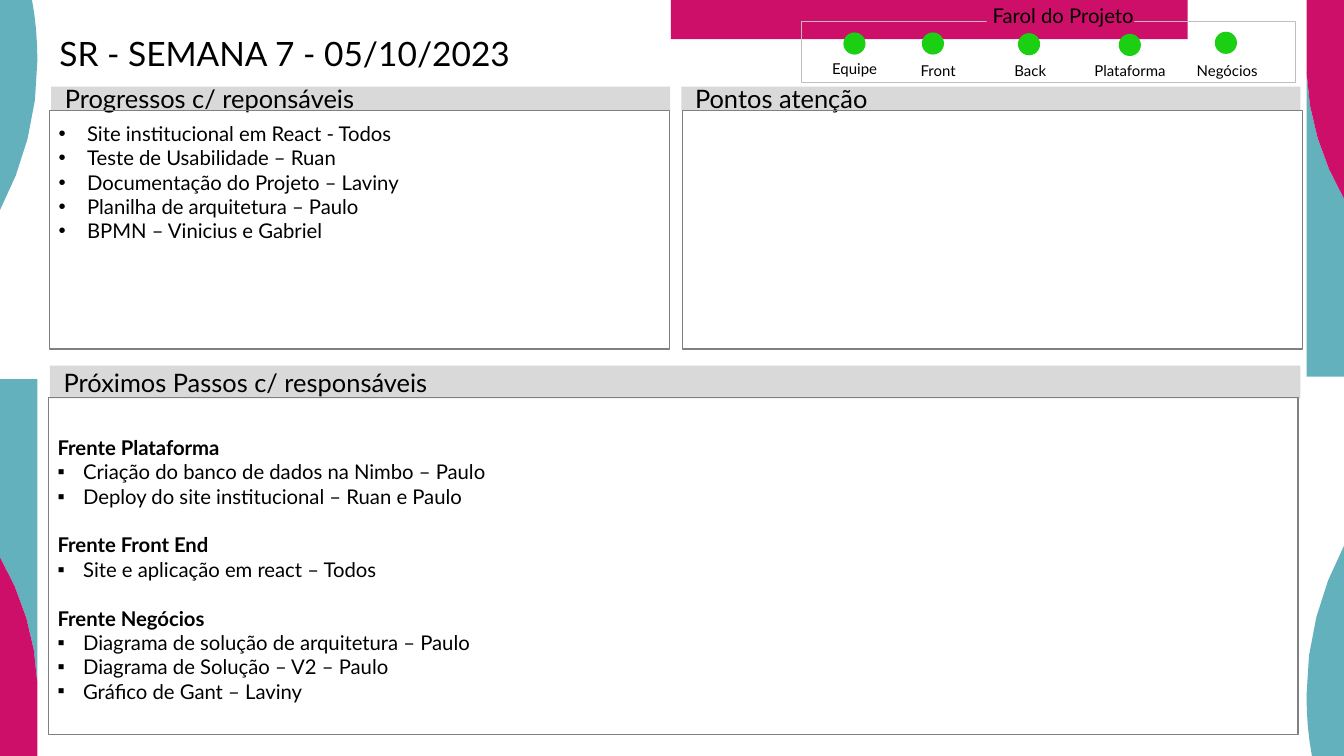
from dataclasses import dataclass

import pptx
import pptx.dml.color
import pptx.enum.shapes
import pptx.enum.text
import pptx.oxml.ns
import pptx.util
from lxml import etree

Cm = pptx.util.Cm
Pt = pptx.util.Pt
Anchor = pptx.enum.text.MSO_ANCHOR
Align = pptx.enum.text.PP_ALIGN
Preset = pptx.enum.shapes.MSO_SHAPE

FONT = "Lato"
COLOURS = {
    "teal": "63B1BC",
    "magenta": "CE0F69",
    "green": "1BCF13",
    "band": "D9D9D9",
    "border": "808080",
    "frame": "BFBFBF",
    "text": "000000",
}
WIDTH, HEIGHT = 37.34, 21.01
CURVE_STEPS = 4
DOT_SIZE = 0.58
BAND_INSETS = (0.38, 0.18, 0.38, 0.18)
PANEL_INSETS = (0.25, 0.3, 0.25, 0.13)
LABEL_INSETS = (0.15, 0.15, 0.15, 0)
CAPTION_INSETS = (0.3, 0.15, 0.15, 0)

Point = tuple[float, float]


@dataclass(frozen=True)
class Box:
    left: float
    top: float
    width: float
    height: float

    def lengths(self) -> list[int]:
        return [Cm(v) for v in (self.left, self.top, self.width, self.height)]


@dataclass(frozen=True)
class Ornament:
    colour: str
    corners: tuple[Point, ...]
    curves: tuple[tuple[Point, Point, Point], ...]


@dataclass(frozen=True)
class Light:
    label: str
    label_left: float
    label_top: float
    dot_left: float
    dot_top: float


@dataclass(frozen=True)
class Band:
    heading: str
    box: Box


@dataclass(frozen=True)
class Item:
    text: str
    bullet: str = ""
    indent: float = 0
    gap: float = 0


ORNAMENTS = (
    Ornament("teal", ((0.89, 0), (0, 0), (0, 5.84)),
             (((0.66, 4.6), (1.04, 3.18), (1.04, 1.68)),
              ((1.04, 1.09), (0.99, 0.53), (0.89, 0)))),
    Ornament("teal", ((1.04, 19), (1.04, 10.54), (0, 10.54), (0, 15.49)),
             (((0.61, 16.54), (0.99, 17.73), (1.04, 19)),)),
    Ornament("magenta", ((0, 15.49), (0, HEIGHT), (1.04, HEIGHT), (1.04, 19)),
             (((0.99, 17.75), (0.61, 16.54), (0, 15.49)),)),
)
LIGHTS = (
    Light("Equipe", 22.5, 1.65, 23.45, 0.92),
    Light("Front", 24.82, 1.7, 25.63, 0.92),
    Light("Back", 27.38, 1.7, 28.3, 0.94),
    Light("Plataforma", 30.15, 1.7, 31.1, 0.96),
    Light("Negócios", 32.85, 1.7, 33.77, 0.9),
)
BANDS = (
    Band("Progressos c/ reponsáveis", Box(1.42, 2.41, 17.2, 0.66)),
    Band("Pontos atenção", Box(18.93, 2.41, 17.2, 0.66)),
    Band("Próximos Passos c/ responsáveis", Box(1.39, 10.16, 34.74, 0.91)),
)
PROGRESS = [Item(text, "•", 0.79) for text in (
    "Site institucional em React - Todos",
    "Teste de Usabilidade – Ruan",
    "Documentação do Projeto – Laviny",
    "Planilha de arquitetura – Paulo",
    "BPMN – Vinicius e Gabriel",
)]
FRONTS = {
    "Frente Plataforma": ("Criação do banco de dados na Nimbo – Paulo",
                          "Deploy do site institucional – Ruan e Paulo"),
    "Frente Front End": ("Site e aplicação em react – Todos",),
    "Frente Negócios": ("Diagrama de solução de arquitetura – Paulo",
                        "Diagrama de Solução – V2 – Paulo",
                        "Gráfico de Gant – Laviny"),
}


def rgb(colour: str) -> pptx.dml.color.RGBColor:
    return pptx.dml.color.RGBColor.from_string(COLOURS[colour])


def paint(shape, fill: str = "", line: str = "", weight: float = 1) -> None:
    shape.shadow.inherit = False
    if fill:
        shape.fill.solid()
        shape.fill.fore_color.rgb = rgb(fill)
    else:
        shape.fill.background()
    if line:
        shape.line.color.rgb = rgb(line)
        shape.line.width = Pt(weight)
    else:
        shape.line.fill.background()


def add_preset(slide, preset, box: Box, fill: str = "", line: str = "", weight: float = 1):
    shape = slide.shapes.add_shape(preset, *box.lengths())
    paint(shape, fill, line, weight)
    return shape


def set_frame(frame, insets: tuple[float, ...], anchor, wrap: bool = True) -> None:
    frame.auto_size = pptx.enum.text.MSO_AUTO_SIZE.NONE
    frame.word_wrap = wrap
    frame.vertical_anchor = anchor
    frame.margin_left, frame.margin_top, frame.margin_right, frame.margin_bottom = map(Cm, insets)


def format_runs(paragraph, size: float, align=Align.LEFT, bold: bool = False) -> None:
    paragraph.alignment = align
    for run in paragraph.runs:
        run.font.name, run.font.size, run.font.bold = FONT, Pt(size), bold
        run.font.color.rgb = rgb("text")


def write(shape, text: str, size: float, insets: tuple[float, ...], anchor,
          align=Align.LEFT, wrap: bool = True) -> None:
    shape.text_frame.text = text
    set_frame(shape.text_frame, insets, anchor, wrap)
    format_runs(shape.text_frame.paragraphs[0], size, align)


def place(slide, placeholder, box: Box) -> None:
    placeholder.left, placeholder.top, placeholder.width, placeholder.height = box.lengths()
    slide.shapes.element.append(placeholder.element)


def fill_panel(slide, body, box: Box, items: list[Item], anchor) -> None:
    place(slide, body, box)
    paint(body, line="border")
    frame = body.text_frame
    frame.text = "\n".join(item.text for item in items)
    set_frame(frame, PANEL_INSETS, anchor)
    for paragraph, item in zip(frame.paragraphs, items):
        format_runs(paragraph, 16, bold=not item.bullet)
        paragraph.line_spacing = 1.0
        paragraph.space_before, paragraph.space_after = Pt(item.gap), Pt(0)
        properties = paragraph._p.get_or_add_pPr()
        properties.set("marL", str(Cm(item.indent)))
        properties.set("indent", str(-Cm(item.indent)))
        tag = "a:buChar" if item.bullet else "a:buNone"
        bullet = etree.SubElement(properties, pptx.oxml.ns.qn(tag))
        if item.bullet:
            bullet.set("char", item.bullet)


def trace(ornament: Ornament) -> list[Point]:
    points = list(ornament.corners)
    for first, second, end in ornament.curves:
        nodes = (points[-1], first, second, end)
        for step in range(1, CURVE_STEPS + 1):
            t = step / CURVE_STEPS
            weights = ((1 - t) ** 3, 3 * t * (1 - t) ** 2, 3 * t * t * (1 - t), t ** 3)
            points.append((sum(w * n[0] for w, n in zip(weights, nodes)),
                           sum(w * n[1] for w, n in zip(weights, nodes))))
    return points[:-1]


def add_ornament(slide, points: list[Point], colour: str) -> None:
    outline = [(Cm(x), Cm(y)) for x, y in points]
    builder = slide.shapes.build_freeform(*outline[0])
    builder.add_line_segments(outline[1:], close=True)
    paint(builder.convert_to_shape(), colour)


def main() -> None:
    deck = pptx.Presentation()
    deck.slide_width, deck.slide_height = Cm(WIDTH), Cm(HEIGHT)
    slide = deck.slides.add_slide(deck.slide_layouts[3])
    title, progress, next_steps = slide.placeholders

    for ornament in ORNAMENTS:
        points = trace(ornament)
        add_ornament(slide, points, ornament.colour)
        add_ornament(slide, [(WIDTH - x, HEIGHT - y) for x, y in points], ornament.colour)
    add_preset(slide, Preset.RECTANGLE, Box(18.64, 0, 14.36, 1.09), "magenta")

    place(slide, title, Box(1.35, 1.04, 33.6, 2.24))
    write(title, "SR - SEMANA 7 - 05/10/2023", 26.4, (0.3, 0, 0.3, 0), Anchor.TOP)
    title.text_frame.paragraphs[0].line_spacing = 0.9

    for band in BANDS:
        heading = add_preset(slide, Preset.RECTANGLE, band.box, "band")
        write(heading, band.heading, 20, BAND_INSETS, Anchor.MIDDLE)

    fill_panel(slide, progress, Box(1.38, 3.07, 17.22, 6.63), PROGRESS, Anchor.TOP)
    steps = []
    for front, tasks in FRONTS.items():
        steps.append(Item(front, gap=19.2 if steps else 0))
        steps += [Item(task, "▪", 0.71) for task in tasks]
    fill_panel(slide, next_steps, Box(1.35, 11.05, 34.71, 9.37), steps, Anchor.MIDDLE)
    add_preset(slide, Preset.RECTANGLE, Box(18.96, 3.07, 17.22, 6.63), line="border")

    for light in LIGHTS:
        label = slide.shapes.add_textbox(*Box(light.label_left, light.label_top, 2.49, 0.51).lengths())
        write(label, light.label, 11.8, LABEL_INSETS, Anchor.BOTTOM, Align.CENTER, False)
        add_preset(slide, Preset.OVAL, Box(light.dot_left, light.dot_top, DOT_SIZE, DOT_SIZE),
                   "green", "green")
    add_preset(slide, Preset.RECTANGLE, Box(22.27, 0.58, 13.72, 1.71), line="frame", weight=0.5)
    caption = add_preset(slide, Preset.RECTANGLE, Box(27.41, 0.18, 4.11, 0.58), "magenta")
    write(caption, "Farol do Projeto", 16, CAPTION_INSETS, Anchor.BOTTOM, Align.CENTER, False)

    deck.save("out.pptx")


if __name__ == "__main__":
    main()
